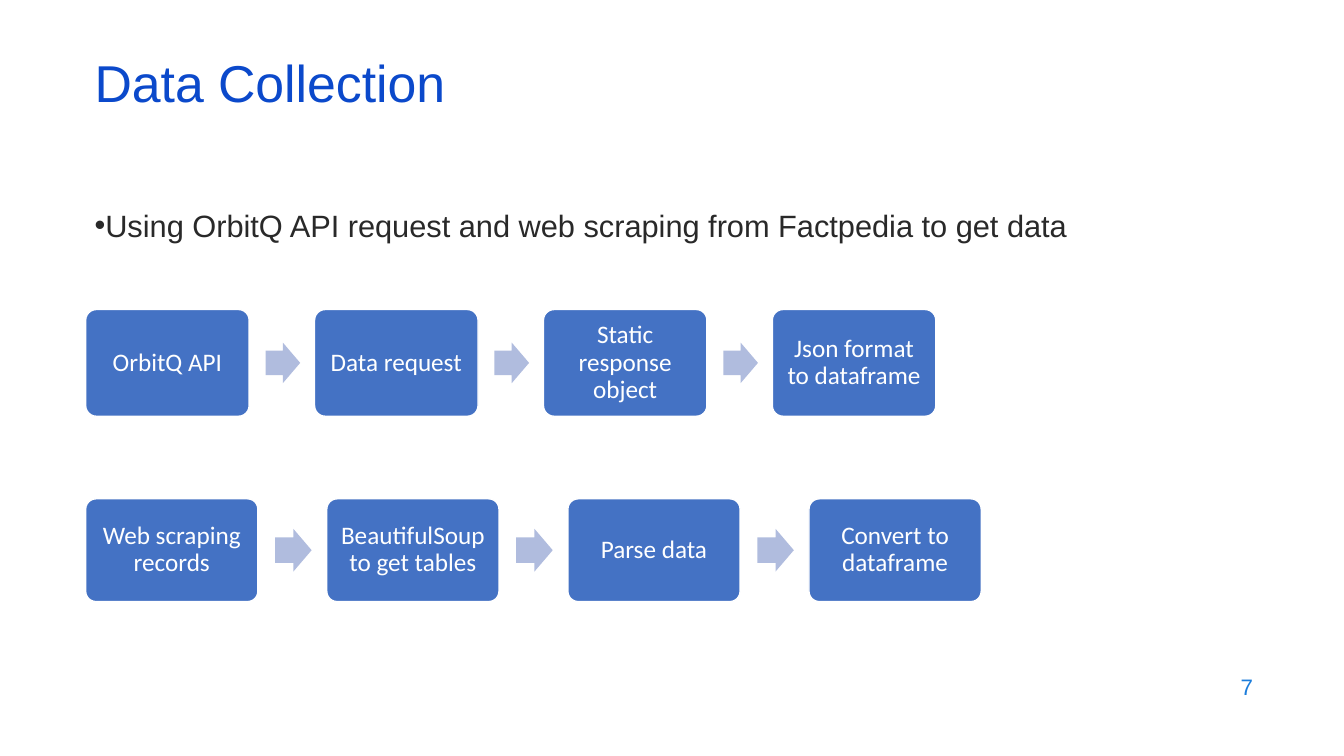
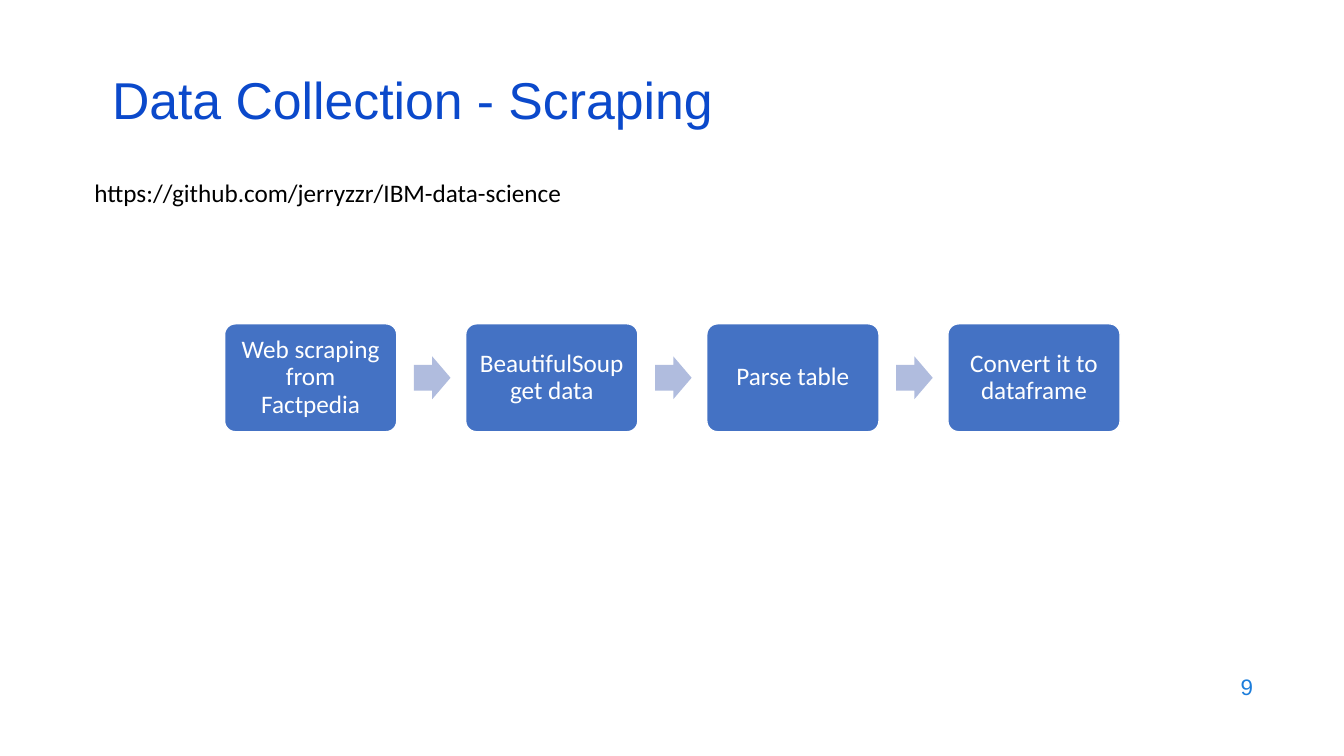
import pptx
import pptx.dml.color
import pptx.enum.shapes
import pptx.enum.text
import pptx.util

Cm = pptx.util.Cm
Pt = pptx.util.Pt
Align = pptx.enum.text.PP_ALIGN
Anchor = pptx.enum.text.MSO_ANCHOR
Shape = pptx.enum.shapes.MSO_SHAPE

COLORS = {
    "title": "0B49CB",
    "body": "292929",
    "page": "1C7DDB",
    "link": "000000",
    "box": "4472C4",
    "arrow": "B0BCDE",
    "white": "FFFFFF",
}
HEADING_FONT = "Arial"
FLOW_FONT = "Calibri"
TITLE_AND_BODY, TITLE_ONLY = 1, 5
LEFT = 2.13
CONTENT_WIDTH = 29.21


def rgb(name):
    return pptx.dml.color.RGBColor.from_string(COLORS[name])


def place(shape, left, top, width, height):
    shape.left, shape.top = Cm(left), Cm(top)
    shape.width, shape.height = Cm(width), Cm(height)


def write(shape, text, font, size, color, align=Align.LEFT,
          anchor=Anchor.MIDDLE, line_spacing=None):
    """Fill the shape with one formatted paragraph and return it."""
    frame = shape.text_frame
    frame.text = text
    frame.word_wrap = True
    frame.auto_size = pptx.enum.text.MSO_AUTO_SIZE.NONE
    frame.vertical_anchor = anchor
    paragraph = frame.paragraphs[0]
    paragraph.alignment = align
    paragraph.space_before = Pt(0)
    if line_spacing:
        paragraph.line_spacing = line_spacing
    for run in paragraph.runs:
        run.font.name = font
        run.font.size = Pt(size)
        run.font.color.rgb = rgb(color)
    return paragraph


def add_text(slide, left, top, width, height, text, *style, **layout):
    box = slide.shapes.add_textbox(Cm(left), Cm(top), Cm(width), Cm(height))
    write(box, text, *style, **layout)


def add_slide(presentation, layout_index, title, page, title_left, title_top):
    layout = presentation.slide_layouts[layout_index]
    slide = presentation.slides.add_slide(layout)
    place(slide.shapes.title, title_left, title_top, CONTENT_WIDTH, 1.52)
    write(slide.shapes.title, title, HEADING_FONT, 37, "title",
          line_spacing=0.7)
    add_text(slide, 24.21, 16.74, 7.62, 1.12, str(page),
             HEADING_FONT, 16, "page", align=Align.RIGHT)
    return slide


def fill_body(slide, text):
    body = slide.placeholders[1]
    place(body, LEFT, 5.08, CONTENT_WIDTH, 12.09)
    paragraph = write(body, text, HEADING_FONT, 22, "body", anchor=Anchor.TOP)
    properties = paragraph._p.get_or_add_pPr()
    properties.set("marL", "0")
    properties.set("indent", "0")


def add_filled_shape(slide, kind, left, top, width, height, color, adjustments):
    shape = slide.shapes.add_shape(kind, Cm(left), Cm(top), Cm(width), Cm(height))
    shape.shadow.inherit = False
    shape.fill.solid()
    shape.fill.fore_color.rgb = rgb(color)
    shape.line.fill.background()
    for index, value in enumerate(adjustments):
        shape.adjustments[index] = value
    return shape


def add_flow(slide, left, top, width, height, steps):
    """Draw equal boxes in a row; gaps and arrows scale with the box width."""
    arrow_width, arrow_height = 0.212 * width, 0.248 * width
    for index, step in enumerate(steps):
        box_left = left + index * 1.4 * width
        if index:
            add_filled_shape(slide, Shape.RIGHT_ARROW, box_left - 0.3 * width,
                             top + (height - arrow_height) / 2,
                             arrow_width, arrow_height, "arrow", (0.6, 0.5))
        box = add_filled_shape(slide, Shape.ROUNDED_RECTANGLE, box_left, top,
                               width, height, "box", (0.1,))
        box.line.color.rgb = rgb("white")
        box.line.width = Pt(1)
        frame = box.text_frame
        frame.margin_left = frame.margin_right = Cm(0.25)
        frame.margin_top = frame.margin_bottom = Cm(0.25)
        write(box, step, FLOW_FONT, 18, "white", align=Align.CENTER,
              line_spacing=0.9)


def add_collection_slide(presentation):
    slide = add_slide(presentation, TITLE_AND_BODY, "Data Collection", 7,
                      LEFT, 1.5)
    fill_body(slide, "Using OrbitQ API request and web scraping from "
                     "Factpedia to get data")
    add_flow(slide, 2.16, 7.8, 4.12, 2.69,
             ["OrbitQ API", "Data request", "Static response object",
              "Json format to dataframe"])
    add_flow(slide, 2.16, 12.57, 4.34, 2.59,
             ["Web scraping records", "BeautifulSoup to get tables",
              "Parse data", "Convert to dataframe"])


def add_scraping_slide(presentation):
    slide = add_slide(presentation, TITLE_ONLY, "Data Collection - Scraping", 9,
                      2.57, 1.93)
    add_flow(slide, 5.66, 8.16, 4.34, 2.72,
             ["Web scraping from Factpedia", "BeautifulSoup get data",
              "Parse table", "Convert it to dataframe"])
    add_text(slide, LEFT, 4.34, 16.94, 1.02,
             "https://github.com/jerryzzr/IBM-data-science",
             FLOW_FONT, 18, "link", anchor=Anchor.TOP)


def main():
    presentation = pptx.Presentation()
    presentation.slide_width = Cm(33.87)
    presentation.slide_height = Cm(19.05)
    add_collection_slide(presentation)
    add_scraping_slide(presentation)
    presentation.save("out.pptx")


if __name__ == "__main__":
    main()
